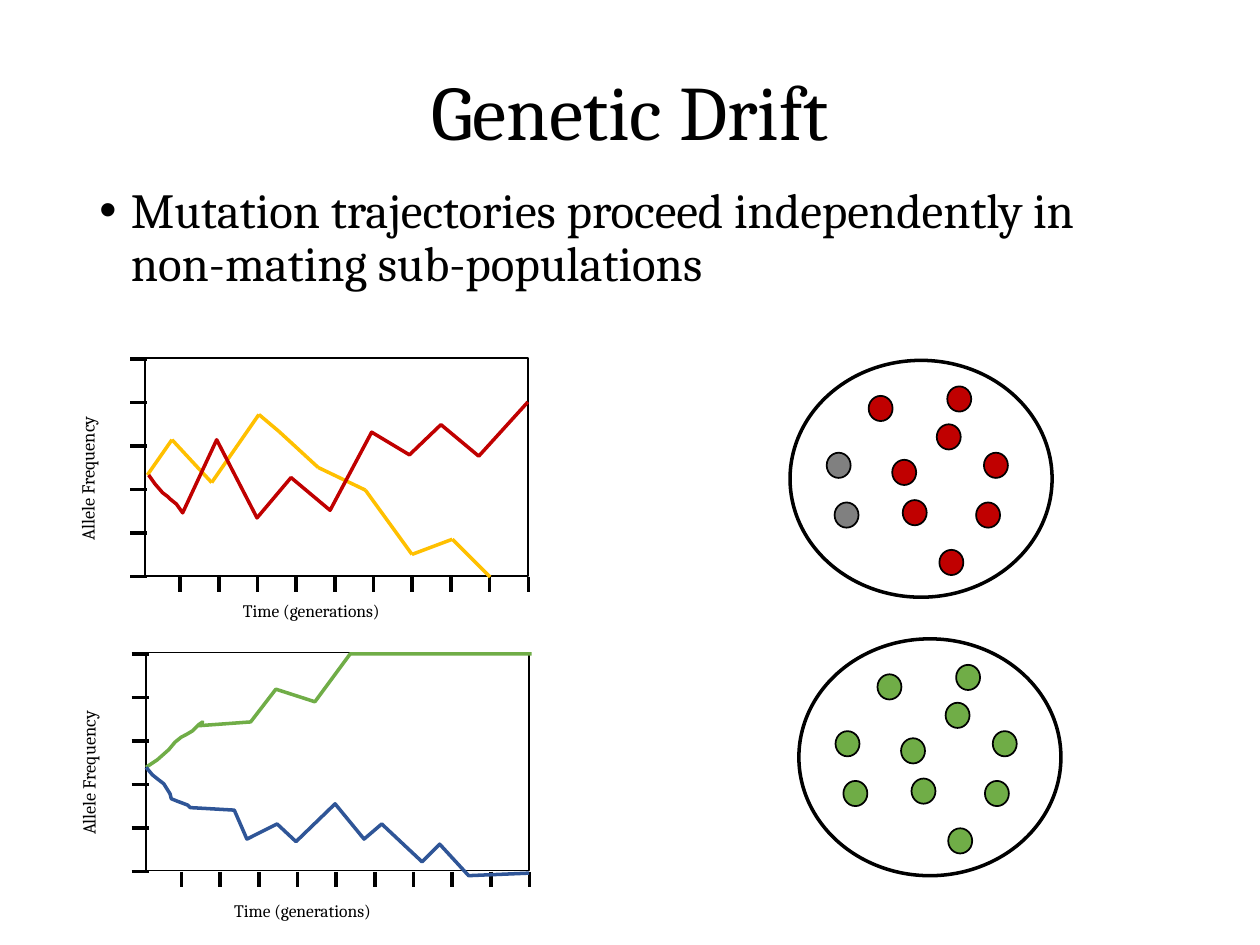
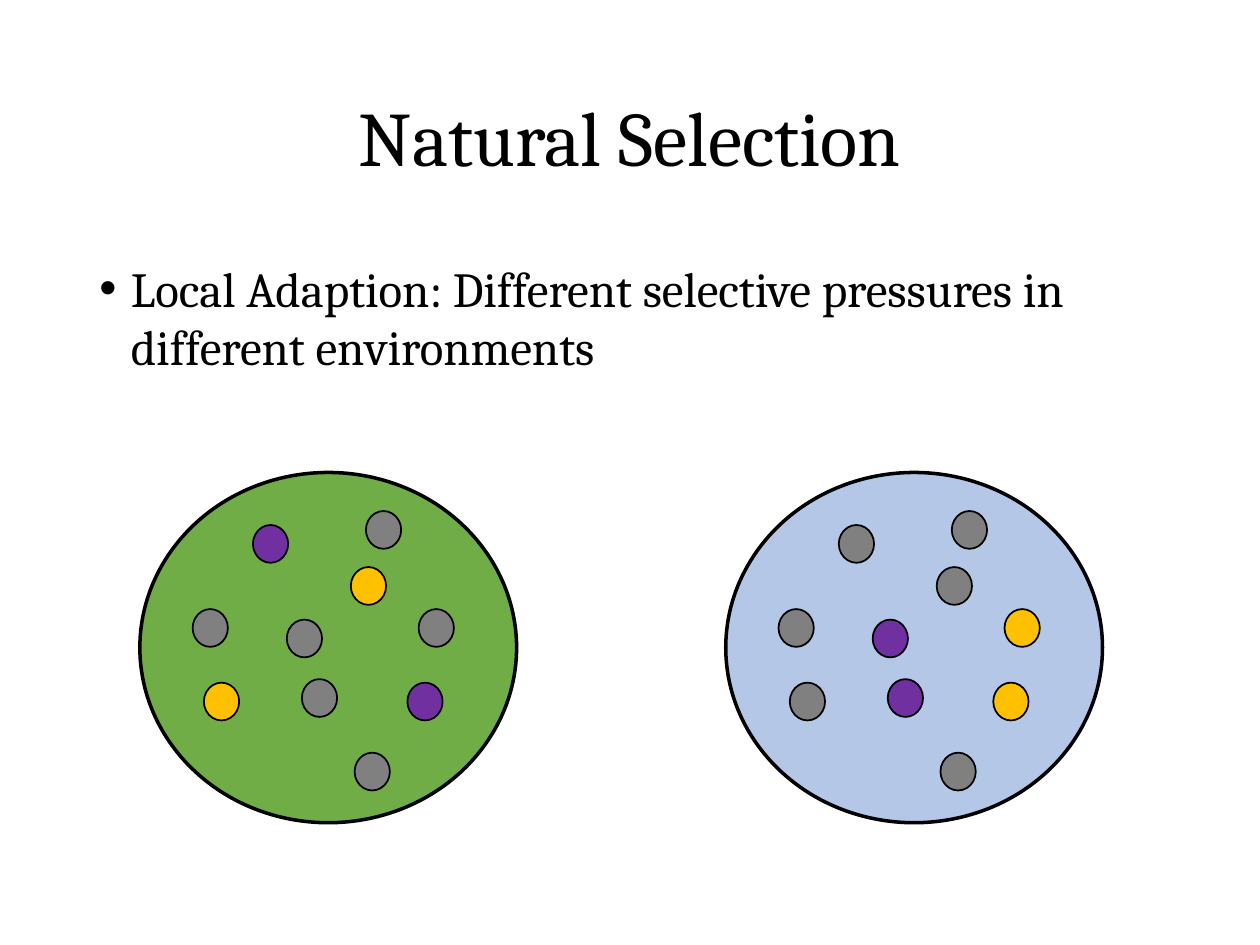
from itertools import pairwise
from lxml import etree
from pptx import Presentation
from pptx.dml.color import RGBColor
from pptx.enum.shapes import MSO_CONNECTOR, MSO_SHAPE
from pptx.enum.text import MSO_ANCHOR, MSO_AUTO_SIZE, PP_ALIGN
from pptx.oxml.ns import qn
from pptx.util import Inches, Pt

OVAL, RECTANGLE = MSO_SHAPE.OVAL, MSO_SHAPE.RECTANGLE
STRAIGHT = MSO_CONNECTOR.STRAIGHT
MIDDLE, CENTER = MSO_ANCHOR.MIDDLE, PP_ALIGN.CENTER
FIT_TEXT = MSO_AUTO_SIZE.SHAPE_TO_FIT_TEXT

FONT = "Cambria"
COLORS = {
    "black": "000000", "red": "C00000", "gray": "808080", "yellow": "FFC000",
    "green": "70AD47", "blue": "2F5597", "pale blue": "B4C7E7", "purple": "7030A0",
}

presentation = Presentation()
presentation.slide_width, presentation.slide_height = Inches(10), Inches(7.5)

# The grid has 100 columns and 75 rows
COLUMN = presentation.slide_width / 100
ROW = presentation.slide_height / 75


def add_text(shapes, text, box, size):
    left, top, width, height = box
    shape = shapes.add_textbox(int(left * COLUMN), int(top * ROW),
                               int(width * COLUMN), int(height * ROW))
    paragraph = shape.text_frame.paragraphs[0]
    run = paragraph.add_run()
    run.text = text
    run.font.name, run.font.size = FONT, Pt(size)
    run.font.color.rgb = RGBColor.from_string(COLORS["black"])
    return shape, paragraph


def add_line(shapes, start, end, color):
    line = shapes.add_connector(STRAIGHT, int(start[0] * COLUMN), int(start[1] * ROW),
                                int(end[0] * COLUMN), int(end[1] * ROW))
    line.line.color.rgb = RGBColor.from_string(COLORS[color])
    line.line.width = Pt(2)
    etree.SubElement(line._element.spPr, qn("a:effectLst"))


# Titles and bullets: title, title height, bullet, bullet top, height, spacing, space before
slides = []
for title, title_height, bullet, top, height, spacing, before in (
    ("Genetic Drift", 10.3,
     "Mutation trajectories proceed independently in non-mating sub-populations",
     14.3, 53.3, 0.9, 10),
    ("Natural Selection", 14.5,
     "Local Adaption: Different selective pressures in different environments",
     20, 11.6, 1, 0),
):
    slide = presentation.slides.add_slide(presentation.slide_layouts[6])
    slides.append(slide)
    shape, paragraph = add_text(slide.shapes, title, (6.9, 4, 86.2, title_height), 44)
    shape.text_frame.word_wrap = True
    shape.text_frame.vertical_anchor = MIDDLE
    paragraph.alignment, paragraph.line_spacing = CENTER, 0.9

    shape, paragraph = add_text(slide.shapes, bullet, (6.9, top, 86.2, height), 28)
    shape.text_frame.word_wrap = True
    paragraph.line_spacing, paragraph.space_before = spacing, Pt(before)
    properties = paragraph._p.get_or_add_pPr()
    properties.set("marL", str(Inches(0.25)))
    properties.set("indent", str(-Inches(0.25)))
    etree.SubElement(properties, qn("a:buFont")).set("typeface", "Arial")
    etree.SubElement(properties, qn("a:buChar")).set("char", "•")

# Allele frequency charts: plot corner, time label, segmented and continuous trajectories
yellow_path = [(11.7, 37.7), (13.65, 34.9), (16.8, 38.3), (20.55, 32.9), (22.15, 34.25),
               (25.25, 37.1), (29, 38.9), (32.7, 44), (35.9, 42.8), (38.9, 45.8)]
red_path = [(11.8, 37.7), (12.3, 38.4), (12.9, 39.1), (13.3, 39.4), (13.5, 39.6),
            (14, 40), (14.5, 40.7), (17.2, 34.9), (20.4, 41.1), (23.1, 37.9),
            (26.2, 40.5), (29.5, 34.3), (32.5, 36.1), (35, 33.7), (38, 36.2), (41.9, 31.9)]
green_path = [(11.6, 60.9), (12.5, 60.3), (13.4, 59.5), (13.9, 58.9), (14.4, 58.5),
              (14.8, 58.3), (15.3, 58), (15.8, 57.5), (16.1, 57.3), (15.8, 57.6),
              (19.9, 57.3), (21.9, 54.7), (25, 55.7), (27.8, 51.9), (42.2, 51.9)]
blue_path = [(11.6, 60.9), (12.1, 61.5), (12.6, 61.9), (13, 62.2), (13.5, 63), (13.6, 63.4),
             (14.1, 63.6), (14.9, 63.9), (15.1, 64.1), (18.6, 64.3), (19.6, 66.6),
             (22, 65.4), (23.5, 66.8), (26.6, 63.8), (28.9, 66.6), (30.3, 65.4),
             (33.5, 68.4), (34.9, 67), (37.2, 69.5), (42, 69.3)]

for left, top, time_corner, segmented, continuous in (
    (11.5, 28.4, (18.3, 47.1), yellow_path, {"red": red_path}),
    (11.6, 51.8, (17.6, 70.9), [], {"green": green_path, "blue": blue_path}),
):
    shapes = slides[0].shapes.add_group_shape().shapes
    plot = shapes.add_shape(RECTANGLE, int(left * COLUMN), int(top * ROW),
                            int(30.4 * COLUMN), int(17.3 * ROW))
    plot.shadow.inherit = False
    plot.fill.background()
    plot.line.color.rgb = RGBColor.from_string(COLORS["black"])
    plot.line.width = Pt(1)

    # Ticks on both axes
    for tick in range(6):
        y = top + 0.1 + tick * 3.45
        add_line(shapes, (left - 1.15, y), (left + 0.2, y), "black")
    for tick in range(10):
        x = left + 2.8 + tick * 3.07
        add_line(shapes, (x, top + 17.4), (x, top + 18.6), "black")

    # Axis labels
    for label, box, size, rotation in (
        ("Time (generations)", (*time_corner, 14.3, 2.7), 10, 0),
        ("Allele Frequency", (left - 11.3, top + 7.3, 13.5, 2.8), 10.5, 270),
    ):
        shape, paragraph = add_text(shapes, label, box, size)
        shape.text_frame.word_wrap = False
        shape.text_frame.auto_size = FIT_TEXT
        shape.rotation = rotation

    # Trajectories
    for start, end in pairwise(segmented):
        add_line(shapes, start, end, "yellow")
    for color, path in continuous.items():
        points = [(x * COLUMN, y * ROW) for x, y in path]
        builder = shapes.build_freeform(*points[0])
        builder.add_line_segments(points[1:], close=False)
        trajectory = builder.convert_to_shape()
        trajectory.shadow.inherit = False
        trajectory.fill.background()
        trajectory.line.color.rgb = RGBColor.from_string(COLORS[color])
        trajectory.line.width = Pt(2)

# Populations: the individuals sit at the same shares of every habitat
INDIVIDUALS = [(0.3, 0.15), (0.56, 0.27), (0.39, 0.42), (0.17, 0.6), (0.6, 0.11),
               (0.14, 0.39), (0.71, 0.6), (0.74, 0.39), (0.43, 0.59), (0.57, 0.8)]
SMALL, LARGE = (20.8, 18.8, 1.9, 2), (29.9, 27.8, 2.8, 3)
R, G, Y, P, N = "red", "gray", "yellow", "purple", "green"

for slide, left, top, size, habitat_color, individual_colors in (
    (slides[0], 62.7, 28.6, SMALL, None, (R, R, R, G, R, G, R, R, R, R)),
    (slides[0], 63.4, 50.7, SMALL, None, (N,) * 10),
    (slides[1], 11.1, 37.5, LARGE, "green", (P, Y, G, Y, G, G, P, G, G, G)),
    (slides[1], 57.6, 37.5, LARGE, "pale blue", (G, G, P, G, G, G, Y, Y, P, G)),
):
    shapes = slide.shapes.add_group_shape().shapes
    width, height, dot_width, dot_height = size
    ovals = [(left, top, width, height, habitat_color, 2)]
    for (across, down), color in zip(INDIVIDUALS, individual_colors):
        ovals.append((left + across * width, top + down * height,
                      dot_width, dot_height, color, 1))
    for x, y, oval_width, oval_height, color, line_width in ovals:
        oval = shapes.add_shape(OVAL, int(x * COLUMN), int(y * ROW),
                                int(oval_width * COLUMN), int(oval_height * ROW))
        oval.shadow.inherit = False
        if color:
            oval.fill.solid()
            oval.fill.fore_color.rgb = RGBColor.from_string(COLORS[color])
        else:
            oval.fill.background()
        oval.line.color.rgb = RGBColor.from_string(COLORS["black"])
        oval.line.width = Pt(line_width)

presentation.save("out.pptx")
